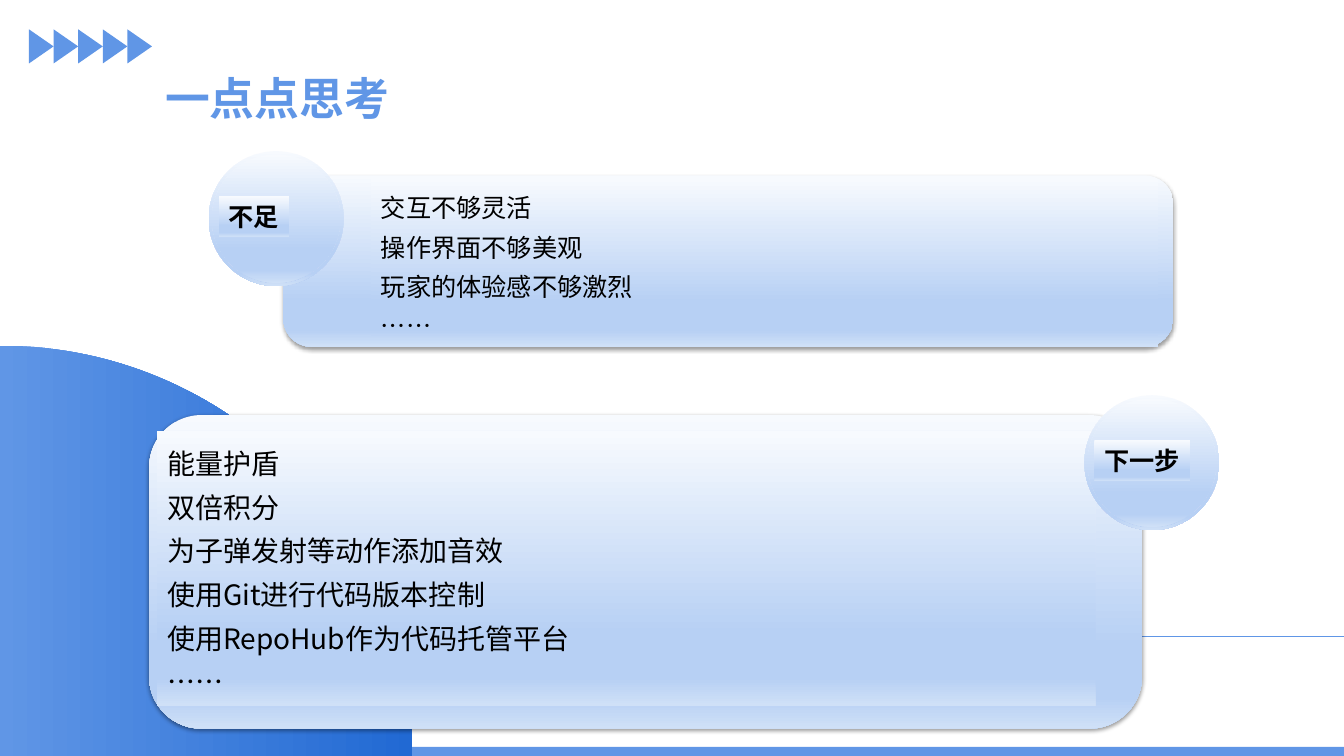
from dataclasses import dataclass

from lxml.etree import SubElement
from pptx import Presentation
from pptx.dml.color import RGBColor
from pptx.enum.shapes import MSO_CONNECTOR, MSO_SHAPE
from pptx.enum.text import MSO_ANCHOR, MSO_AUTO_SIZE, PP_ALIGN
from pptx.oxml.ns import qn
from pptx.util import Cm, Pt


@dataclass(frozen=True)
class Theme:
    font: str = "Noto Sans CJK SC"
    accent: str = "6096E6"
    ink: str = "000000"
    glass: tuple = ((0, "F7FAFE"), (74, "B7D0F4"), (90, "B7D0F4"), (100, "CFE0F7"))
    wave: tuple = ((0, "6096E6"), (100, "2169D3"))
    title_size: int = 32
    label_size: int = 18
    short_list_size: int = 18
    long_list_size: int = 20


THEME = Theme()
DOWN, RIGHT = 270, 0


def fill_gradient(shape, stops, angle):
    shape.fill.gradient()
    shape.fill.gradient_angle = angle
    stop_list = shape.element.spPr.find(qn("a:gradFill")).find(qn("a:gsLst"))
    stop_list.clear()
    for position, color in stops:
        stop = SubElement(stop_list, qn("a:gs"), pos=str(position * 1000))
        SubElement(stop, qn("a:srgbClr"), val=color)


def add_plain(shapes, preset, left, top, width, height):
    """Add a preset shape with neither outline nor shadow."""
    shape = shapes.add_shape(preset, Cm(left), Cm(top), Cm(width), Cm(height))
    shape.line.fill.background()
    shape.shadow.inherit = False
    return shape


def add_solid(shapes, preset, *box):
    shape = add_plain(shapes, preset, *box)
    shape.fill.solid()
    shape.fill.fore_color.rgb = RGBColor.from_string(THEME.accent)
    return shape


def add_glass(shapes, preset, *box):
    shape = add_plain(shapes, preset, *box)
    fill_gradient(shape, THEME.glass, DOWN)
    return shape


def write(frame, lines, size, color=THEME.ink, bold=False, spacing=None):
    frame.text = "\n".join(lines)
    for paragraph in frame.paragraphs:
        paragraph.alignment = PP_ALIGN.LEFT
        paragraph.line_spacing = spacing
        font = paragraph.font
        font.size = Pt(size)
        font.bold = bold
        font.color.rgb = RGBColor.from_string(color)
        font.name = THEME.font
        SubElement(font._element, qn("a:ea"), typeface=THEME.font)


def add_fitted_text(shapes, box, lines, size, wrap, **style):
    """Add a glass rectangle that grows with its text."""
    shape = add_glass(shapes, MSO_SHAPE.RECTANGLE, *box)
    frame = shape.text_frame
    frame.word_wrap = wrap
    frame.auto_size = MSO_AUTO_SIZE.SHAPE_TO_FIT_TEXT
    frame.vertical_anchor = MSO_ANCHOR.TOP
    write(frame, lines, size, **style)


def add_panel(shapes, *box):
    """Add a rounded glass panel with a soft shadow below."""
    panel = add_glass(shapes, MSO_SHAPE.ROUNDED_RECTANGLE, *box)
    effects = panel.element.spPr.find(qn("a:effectLst"))
    shadow = SubElement(effects, qn("a:outerShdw"), blurRad=str(Pt(3.1)),
                        dist=str(Pt(1.6)), dir="5400000", algn="t", rotWithShape="0")
    color = SubElement(shadow, qn("a:srgbClr"), val=THEME.ink)
    SubElement(color, qn("a:alpha"), val="38000")


def add_badge(shapes, left, top, label, label_width):
    diameter, rim = 3.4, 0.08
    badge = shapes.add_group_shape().shapes
    ring = add_glass(badge, MSO_SHAPE.DONUT, left, top, diameter, diameter)
    ring.adjustments[0] = 0.05
    disc = diameter - 2 * rim
    add_glass(badge, MSO_SHAPE.OVAL, left + rim, top + rim, disc, disc)
    add_fitted_text(badge, (left + 0.25, top + 1.14, label_width, 1.02),
                    [label], THEME.label_size, wrap=False, bold=True)


def add_arrow_row(shapes):
    row = shapes.add_group_shape().shapes
    pitch = 0.62
    for index in range(5):
        arrow = add_solid(row, MSO_SHAPE.ISOSCELES_TRIANGLE,
                          0.61 + index * pitch, 0.86, 0.86, pitch)
        arrow.rotation = 90


def add_wave(shapes):
    """Add the quarter-round corner, its curve sampled from a cubic Bézier."""
    controls = ((0, 8.71), (5.69, 8.71), (10.31, 13.28), (10.39, 18.95))
    steps = 60
    curve = []
    for step in range(steps + 1):
        t = step / steps
        weights = ((1 - t) ** 3, 3 * t * (1 - t) ** 2, 3 * t ** 2 * (1 - t), t ** 3)
        curve.append(tuple(Cm(sum(w * point[axis] for w, point in zip(weights, controls)))
                           for axis in (0, 1)))
    corners = [(Cm(10.39), Cm(19.05)), (Cm(0), Cm(19.05))]
    builder = shapes.build_freeform(*curve[0])
    builder.add_line_segments(curve[1:] + corners, close=True)
    wave = builder.convert_to_shape()
    wave.line.fill.background()
    wave.shadow.inherit = False
    fill_gradient(wave, THEME.wave, RIGHT)


def add_rule(shapes, left, right, y):
    rule = shapes.add_connector(MSO_CONNECTOR.STRAIGHT, Cm(left), Cm(y), Cm(right), Cm(y))
    rule.line.color.rgb = RGBColor.from_string(THEME.accent)
    rule.line.width = Pt(0.5)
    SubElement(rule._element.spPr, qn("a:effectLst"))


def add_title(shapes, text):
    frame = shapes.add_textbox(Cm(3.91), Cm(1.4), Cm(15.44), Cm(2.13)).text_frame
    frame.word_wrap = True
    frame.vertical_anchor = MSO_ANCHOR.MIDDLE
    write(frame, [text], THEME.title_size, color=THEME.accent, bold=True)


def main():
    deck = Presentation()
    deck.slide_width, deck.slide_height = Cm(33.87), Cm(19.05)
    shapes = deck.slides.add_slide(deck.slide_layouts[6]).shapes

    add_solid(shapes, MSO_SHAPE.RECTANGLE, 0, 18.82, 33.87, 0.23)
    add_arrow_row(shapes)
    add_rule(shapes, 28.3, 33.87, 16.03)
    add_wave(shapes)
    add_title(shapes, "一点点思考")

    add_panel(shapes, 7.14, 4.42, 22.43, 4.32)
    add_badge(shapes, 5.26, 3.81, "不足", 1.78)
    add_panel(shapes, 3.76, 10.46, 25.02, 7.9)

    shortcomings = ["交互不够灵活", "操作界面不够美观", "玩家的体验感不够激烈", "……"]
    add_fitted_text(shapes, (9.35, 4.5, 19.84, 4.24), shortcomings,
                    THEME.short_list_size, wrap=True, spacing=1.3)
    next_steps = ["能量护盾", "双倍积分", "为子弹发射等动作添加音效",
                  "使用Git进行代码版本控制", "使用RepoHub作为代码托管平台", "……"]
    add_fitted_text(shapes, (3.96, 10.87, 23.65, 6.91), next_steps,
                    THEME.long_list_size, wrap=True, spacing=1.3)
    add_badge(shapes, 27.33, 9.96, "下一步", 2.41)

    deck.save("out.pptx")


if __name__ == "__main__":
    main()
